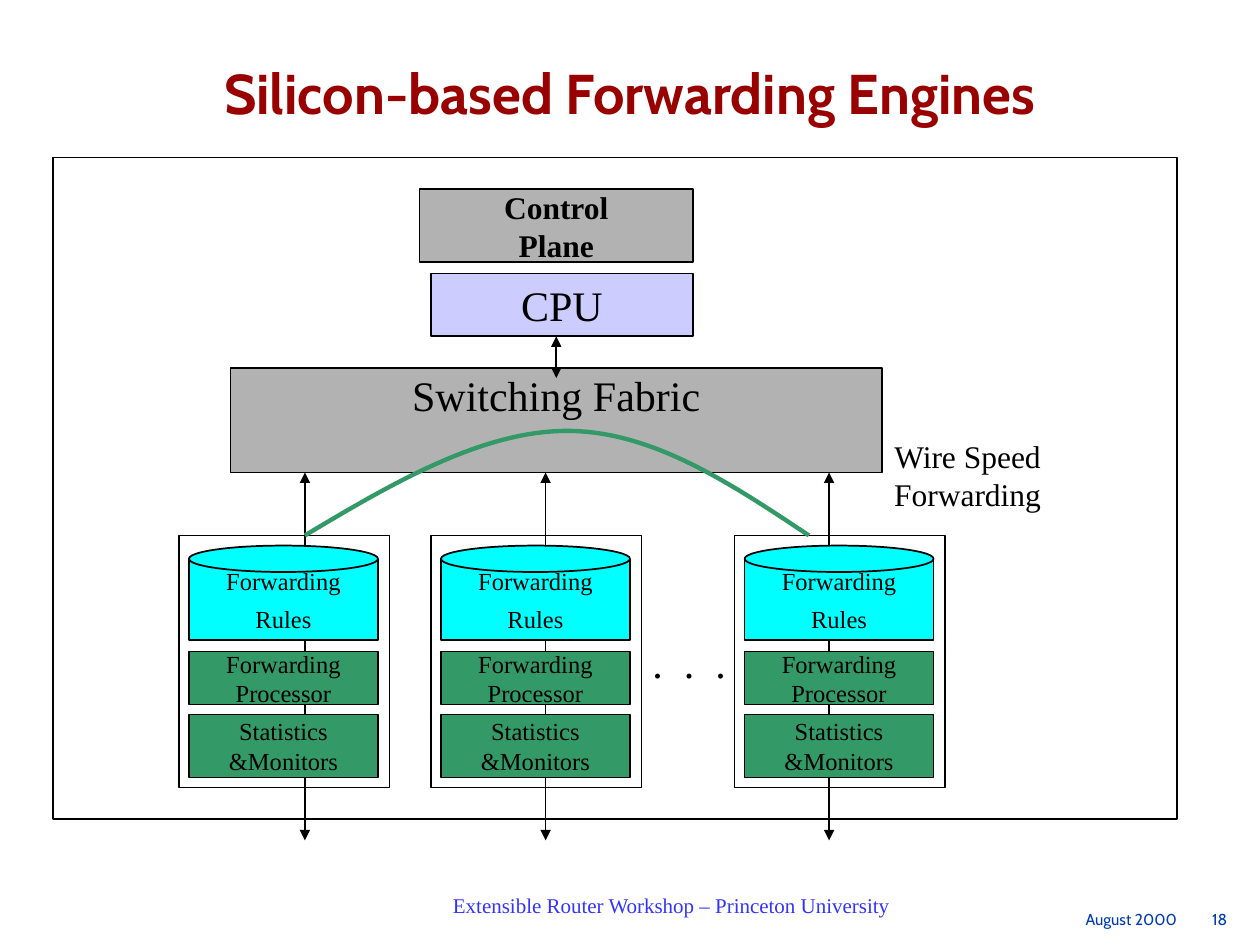
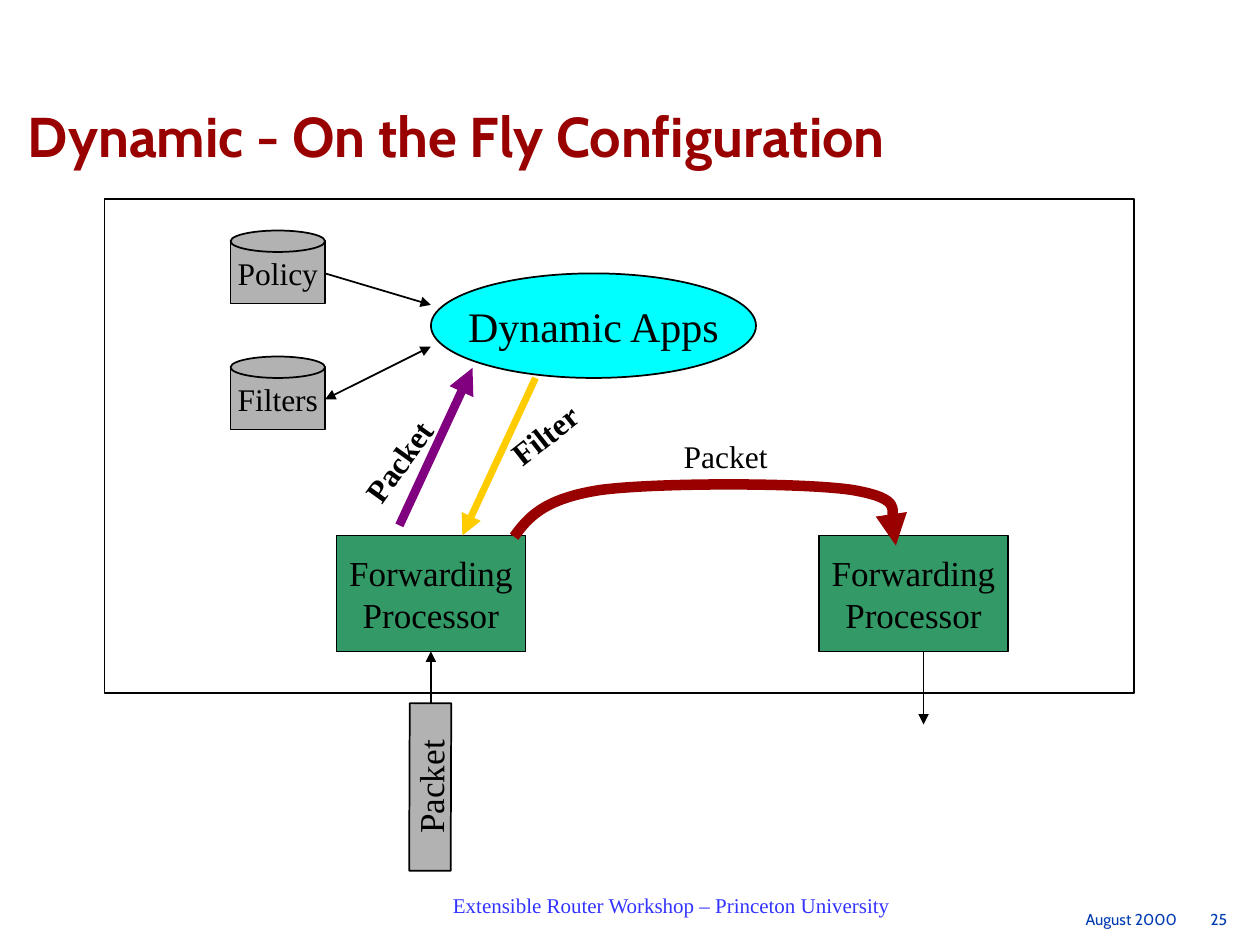
from lxml import etree
from pptx import Presentation
from pptx.dml.color import RGBColor
from pptx.enum.shapes import MSO_CONNECTOR, MSO_SHAPE
from pptx.enum.text import MSO_ANCHOR, PP_ALIGN
from pptx.oxml.ns import qn
from pptx.util import Inches, Pt

RECTANGLE, ELLIPSE = MSO_SHAPE.RECTANGLE, MSO_SHAPE.OVAL
STRAIGHT = MSO_CONNECTOR.STRAIGHT
LEFT, CENTER, RIGHT = PP_ALIGN.LEFT, PP_ALIGN.CENTER, PP_ALIGN.RIGHT
TOP, MIDDLE, BOTTOM = MSO_ANCHOR.TOP, MSO_ANCHOR.MIDDLE, MSO_ANCHOR.BOTTOM

HEADING_FONT, BODY_FONT = "Cabin", "Times New Roman"
TITLE_ONLY = 5
COLORS = {
    "title": "990000",
    "date": "003BB2",
    "footer": "3333FF",
    "ink": "000000",
    "gray": "B2B2B2",
    "lavender": "CCCCFF",
    "cyan": "00FFFF",
    "green": "339966",
    "purple": "800080",
    "yellow": "FFCC00",
}


def color(name):
    return RGBColor.from_string(COLORS[name])


def write(shape, text, size, bold=False, align=CENTER, anchor=MIDDLE, ink="ink",
          font=BODY_FONT, insets=(0.1, 0.05), wrap=False, gap=0):
    frame = shape.text_frame
    frame.text = text
    frame.word_wrap = wrap
    frame.vertical_anchor = anchor
    frame.margin_left = frame.margin_right = Inches(insets[0])
    frame.margin_top = frame.margin_bottom = Inches(insets[1])
    for index, para in enumerate(frame.paragraphs):
        para.alignment = align
        para.space_before = Pt(gap if index else 0)
        for span in para.runs:
            span.font.name = font
            span.font.size = Pt(size)
            span.font.bold = bold
            span.font.color.rgb = color(ink)


def add_label(page, box, text, size, rotation=0, **style):
    label = page.shapes.add_textbox(*map(Inches, box))
    label.rotation = rotation
    write(label, text, size, **style)
    return label


def add_block(page, box, fill=None, text="", size=14, kind=RECTANGLE, weight=1, **style):
    block = page.shapes.add_shape(kind, *map(Inches, box))
    block.shadow.inherit = False
    if fill:
        block.fill.solid()
        block.fill.fore_color.rgb = color(fill)
    else:
        block.fill.background()
    block.line.color.rgb = color("ink")
    block.line.width = Pt(weight)
    if text:
        write(block, text, size, **style)
    return block


def style_line(shape, ink, weight, ends):
    shape.line.color.rgb = color(ink)
    shape.line.width = Pt(weight)
    outline = shape._element.spPr.find(qn("a:ln"))
    for end in ends:
        etree.SubElement(outline, qn(f"a:{end}End"), type="triangle")


def add_arrow(page, start, finish, ends=("tail",), ink="ink", weight=1):
    arrow = page.shapes.add_connector(STRAIGHT, *map(Inches, start + finish))
    style_line(arrow, ink, weight, ends)
    etree.SubElement(arrow._element.spPr, qn("a:effectLst"))


def add_curve(page, points, ink, weight, ends=()):
    start, *rest = [tuple(map(Inches, point)) for point in points]
    builder = page.shapes.build_freeform(*start)
    builder.add_line_segments(rest, close=False)
    curve = builder.convert_to_shape()
    curve.shadow.inherit = False
    curve.fill.background()
    style_line(curve, ink, weight, ends)
    outline = next(curve._element.iter(qn("a:path")))
    segments = outline.findall(qn("a:lnTo"))
    for first in range(0, len(segments), 3):
        bezier = etree.SubElement(outline, qn("a:cubicBezTo"))
        for segment in segments[first:first + 3]:
            bezier.append(segment[0])
            outline.remove(segment)


def add_cylinder(page, box, lid, fill, text, size, gap=0):
    left, top, width, height = box
    add_block(page, (left, top + lid / 2, width, height - lid / 2), fill, text, size, gap=gap)
    add_block(page, (left, top, width, lid), fill, kind=ELLIPSE)


def add_page(deck, title, box, align, number):
    page = deck.slides.add_slide(deck.slide_layouts[TITLE_ONLY])
    heading = page.shapes.title
    heading.left, heading.top, heading.width, heading.height = map(Inches, box)
    write(heading, title, 32, bold=True, align=align, anchor=BOTTOM, ink="title",
          font=HEADING_FONT, insets=(0.05, 0.05), wrap=True)
    heading.text_frame.paragraphs[0].line_spacing = 0.93
    add_label(page, (3.08, 7.08, 4.5, 0.2), "Extensible Router Workshop – Princeton University",
              12, anchor=TOP, ink="footer", insets=(0.09, 0), wrap=True)
    for left, width, text in ((7.43, 2, "August 2000"), (9.33, 0.5, number)):
        add_label(page, (left, 7.22, width, 0.17), text, 9, align=RIGHT, anchor=TOP,
                  ink="date", font=HEADING_FONT, insets=(0.09, 0), wrap=True)
    return page


def add_line_card(page, box):
    left, top, width, height = box
    inner, inner_width = left + 0.08, width - 0.17
    add_block(page, box, weight=0.75)
    add_cylinder(page, (inner, top + 0.08, inner_width, 0.75), 0.21, "cyan",
                 "Forwarding\nRules", 14, gap=5)
    for offset, depth, text in ((0.92, 0.42, "Forwarding\nProcessor"),
                                (1.42, 0.5, "Statistics\n&Monitors")):
        add_block(page, (inner, top + offset, inner_width, depth), "green", text, weight=0.75)


def add_control_stack(page, box):
    left, top, width, height = box
    add_block(page, (left, top, width, 0.58), "gray", "Control\nPlane", 18, bold=True)
    add_block(page, (left + 0.09, top + 0.67, width - 0.09, 0.5), "lavender", "CPU", 24)
    middle = left + width / 2
    add_arrow(page, (middle, top + 1.17), (middle, top + height), ("head", "tail"))


def add_ellipsis(page, box):
    dots = add_label(page, box, ".\t.\t.", 24, align=LEFT, anchor=TOP, wrap=True)
    properties = dots.text_frame.paragraphs[0]._p.get_or_add_pPr()
    stops = etree.SubElement(properties, qn("a:tabLst"))
    for position in (0.25, 0.5):
        etree.SubElement(stops, qn("a:tab"), pos=str(Inches(position)), algn="l")


def build_engines(deck):
    page = add_page(deck, "Silicon-based Forwarding Engines", (0, 0.33, 10, 0.73), CENTER, "18")
    add_block(page, (1.83, 2.92, 5.17, 0.83), "gray", "Switching Fabric", 24,
              anchor=TOP, insets=(0.1, 0.01))
    add_block(page, (0.42, 1.25, 8.92, 5.25))
    for x in (2.42, 4.33, 6.58):
        add_arrow(page, (x, 3.75), (x, 6.67), ("head", "tail"))
    add_control_stack(page, (3.33, 1.5, 2.17, 1.5))
    add_label(page, (6.93, 3.42, 1.5, 0.7), "Wire Speed\nForwarding", 18)
    for left in (1.42, 3.42, 5.83):
        add_line_card(page, (left, 4.25, 1.67, 2))
    add_ellipsis(page, (5.08, 5, 0.89, 0.5))
    add_curve(page, [(2.42, 4.25), (3.12, 3.83), (3.83, 3.42), (4.5, 3.42),
                     (5.17, 3.42), (5.79, 3.83), (6.42, 4.25)], "green", 2.5)


def add_stores(page, box):
    left, top, width, height = box
    for row, name in enumerate(("Policy", "Filters")):
        add_cylinder(page, (left, top + row, width, 0.58), 0.17, "gray", name, 18)
    edge, app = left + width, left + 1.59
    add_arrow(page, (edge, top + 0.34), (app, top + 0.59))
    add_arrow(page, (edge, top + 1.34), (app, top + 0.92), ("head", "tail"))


def add_processors(page, box):
    left, top, width, height = box
    for x in (left, left + width - 1.5):
        add_block(page, (x, top, 1.5, height), "green", "Forwarding\nProcessor", 20, weight=0.75)
    bottom = top + height
    add_arrow(page, (left + 0.75, bottom), (left + 0.75, bottom + 0.58), ("head",))
    add_arrow(page, (left + 4.66, bottom), (left + 4.66, bottom + 0.58))


def build_configuration(deck):
    page = add_page(deck, "Dynamic - On the Fly Configuration", (0.17, 0.67, 8.59, 0.73),
                    LEFT, "25")
    add_processors(page, (2.67, 4.25, 5.33, 0.92))
    add_block(page, (0.83, 1.58, 8.17, 3.92), weight=0.75)
    add_arrow(page, (3.17, 4.17), (3.75, 2.92), ink="purple", weight=5)
    add_curve(page, [(4.08, 4.26), (4.19, 4.11), (4.31, 3.96), (4.76, 3.89),
                     (5.2, 3.83), (6.38, 3.83), (6.77, 3.89),
                     (7.17, 3.96), (7.05, 4.19), (7.11, 4.26),
                     (7.17, 4.33), (7.14, 4.33), (7.11, 4.33)], "title", 6, ("tail",))
    packet = add_block(page, (2.75, 6.08, 1.33, 0.33), "gray", "Packet", 20)
    packet.rotation = 270.2
    add_stores(page, (1.83, 1.83, 0.75, 1.58))
    add_arrow(page, (4.25, 3), (3.67, 4.25), ink="yellow", weight=4)
    add_block(page, (3.42, 2.17, 2.58, 0.83), "cyan", "Dynamic Apps", 24, kind=ELLIPSE)
    add_label(page, (5.26, 3.42, 1, 0.4), "Packet", 18)
    add_label(page, (2.66, 3.46, 1, 0.4), "Packet", 18, rotation=305.6, bold=True)
    add_label(page, (3.92, 3.25, 0.8, 0.4), "Filter", 18, rotation=321.8, bold=True)


def main():
    deck = Presentation()
    deck.slide_width, deck.slide_height = Inches(10), Inches(7.5)
    build_engines(deck)
    build_configuration(deck)
    deck.save("out.pptx")


if __name__ == "__main__":
    main()
